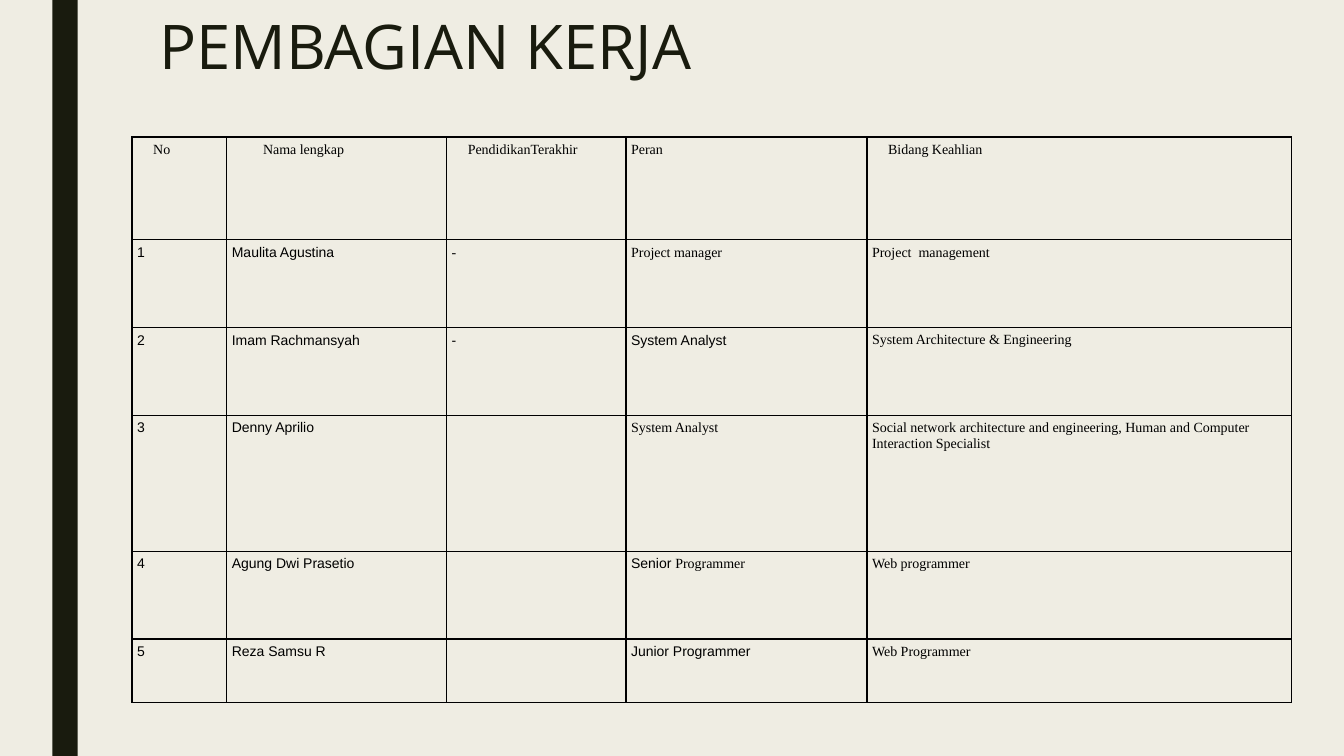
from lxml import etree
from pptx import Presentation
from pptx import util as u
from pptx.dml.color import RGBColor
from pptx.enum import shapes, text
from pptx.oxml.ns import qn

COLORS = {"paper": "EFEDE3", "dark": "191B0E", "ink": "000000", "border": "000001"}
SANS, SERIF = "Arial", "Times New Roman"


def add_span(para, words, font, size, color):
    span = para.add_run()
    span.text = words
    formats = {"name": font, "size": u.Pt(size)}
    for key, value in formats.items():
        setattr(span.font, key, value)
    span.font.color.rgb = RGBColor.from_string(COLORS[color])


def add_borders(cell):
    props = cell._tc.get_or_add_tcPr()
    for index, side in enumerate(("lnL", "lnR", "lnT", "lnB")):
        line = etree.Element(qn(f"a:{side}"), w=str(u.Pt(1)))
        fill = etree.SubElement(line, qn("a:solidFill"))
        etree.SubElement(fill, qn("a:srgbClr"), val=COLORS["border"])
        props.insert(index, line)


# Page and background
deck = Presentation()
deck.slide_width, deck.slide_height = u.Inches(13.33), u.Inches(7.5)
page = deck.slides.add_slide(deck.slide_layouts[6])
page.background.fill.solid()
page.background.fill.fore_color.rgb = RGBColor.from_string(COLORS["paper"])

# Side band
band = page.shapes.add_shape(shapes.MSO_SHAPE.RECTANGLE, u.Inches(0.52), 0,
                             u.Inches(0.25), deck.slide_height)
band.shadow.inherit = False
band.fill.solid()
band.fill.fore_color.rgb = RGBColor.from_string(COLORS["dark"])
band.line.fill.background()

# Title
title = page.shapes.add_textbox(u.Inches(1.48), u.Inches(0.12), u.Inches(10.5), u.Inches(1.62))
frame_formats = {"word_wrap": True, "vertical_anchor": text.MSO_ANCHOR.TOP}
for key, value in frame_formats.items():
    setattr(title.text_frame, key, value)
heading = title.text_frame.paragraphs[0]
heading.line_spacing = 0.89
add_span(heading, "PEMBAGIAN KERJA", "Open Sans", 44, "dark")

# Table content: each cell is a list of (words, font) spans
header = ["No", "Nama lengkap", "PendidikanTerakhir", "Peran", "Bidang Keahlian"]
header_indents = [0.16, 0.31, 0.16, 0, 0.16]
members = [
    ("Maulita Agustina", [("-", SERIF)], [("Project manager", SERIF)], "Project  management"),
    ("Imam Rachmansyah", [("-", SANS)], [("System Analyst", SANS)],
     "System Architecture & Engineering"),
    ("Denny Aprilio", [], [("System Analyst", SERIF)],
     "Social network architecture and engineering, Human and Computer Interaction Specialist"),
    ("Agung Dwi Prasetio", [], [("Senior ", SANS), ("Programmer", SERIF)], "Web programmer"),
    ("Reza Samsu R", [], [("Junior Programmer", SANS)], "Web Programmer"),
]
rows = [[[(label, SERIF)] for label in header]]
for number, (name, education, role, skill) in enumerate(members, 1):
    rows.append([[(str(number), SANS)], [(name, SANS)], education, role, [(skill, SERIF)]])

# Table
widths = [0.94, 2.18, 1.78, 2.39, 4.21]
heights = [1.02, 0.87, 0.87, 1.35, 0.87, 0.63]
table = page.shapes.add_table(len(rows), len(widths), u.Inches(1.31), u.Inches(1.36),
                              u.Inches(sum(widths)), u.Inches(sum(heights))).table
table.first_row = table.horz_banding = False
for column, width in zip(table.columns, widths):
    column.width = u.Inches(width)
for row, height in zip(table.rows, heights):
    row.height = u.Inches(height)

margins = {f"margin_{side}": u.Inches(0.05) for side in ("left", "right", "top", "bottom")}
for row_index, row in enumerate(rows):
    for column_index, spans in enumerate(row):
        cell = table.cell(row_index, column_index)
        for key, value in margins.items():
            setattr(cell, key, value)
        if row_index == 0:
            cell.margin_left = u.Inches(0.05 + header_indents[column_index])
        cell.fill.background()
        add_borders(cell)
        for words, font in spans:
            add_span(cell.text_frame.paragraphs[0], words, font, 10, "ink")

deck.save("out.pptx")
